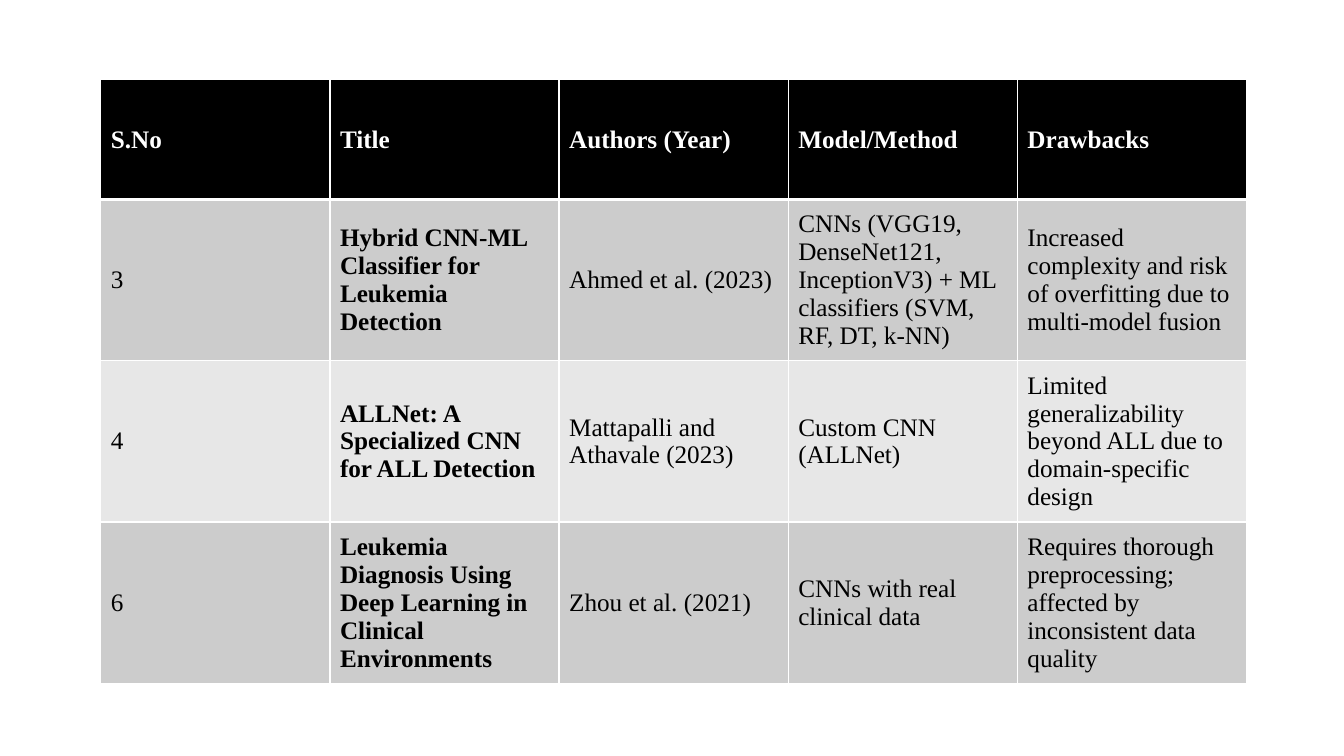
import pptx
import pptx.util
import pptx.dml.color
import pptx.enum.text
import pptx.oxml
import pptx.oxml.ns
from dataclasses import dataclass

Pt = pptx.util.Pt
RGB = pptx.dml.color.RGBColor.from_string


@dataclass(frozen=True)
class Theme:
    font: str = "Times New Roman"
    size: int = 18
    header_fill: str = "000000"
    header_text: str = "FFFFFF"
    body_text: str = "000000"
    bands: tuple = ("CCCCCC", "E7E7E7")
    rule: str = "FFFFFF"
    thin: int = 1
    thick: int = 3


THEME = Theme()
HEADER_HEIGHT = 85.5
TITLE_COLUMN = 1

PAPERS = [
    ("S.No", "Title", "Authors (Year)", "Model/Method", "Drawbacks"),
    ("3", "Hybrid CNN-ML Classifier for Leukemia Detection", "Ahmed et al. (2023)",
     "CNNs (VGG19, DenseNet121, InceptionV3) + ML classifiers (SVM, RF, DT, k-NN)",
     "Increased complexity and risk of overfitting due to multi-model fusion"),
    ("4", "ALLNet: A Specialized CNN for ALL Detection", "Mattapalli and Athavale (2023)",
     "Custom CNN (ALLNet)",
     "Limited generalizability beyond ALL due to domain-specific design"),
    ("6", "Leukemia Diagnosis Using Deep Learning in Clinical Environments",
     "Zhou et al. (2021)", "CNNs with real clinical data",
     "Requires thorough preprocessing; affected by inconsistent data quality"),
]


def set_borders(cell, widths):
    tcPr = cell._tc.get_or_add_tcPr()
    for side, width in widths.items():
        tcPr.append(pptx.oxml.parse_xml(
            f'<a:ln{side} {pptx.oxml.ns.nsdecls("a")} w="{Pt(width)}">'
            f'<a:solidFill><a:srgbClr val="{THEME.rule}"/></a:solidFill></a:ln{side}>'))


def fill_cell(cell, text, fill, color, bold):
    cell.fill.solid()
    cell.fill.fore_color.rgb = RGB(fill)
    cell.vertical_anchor = pptx.enum.text.MSO_ANCHOR.MIDDLE
    r = cell.text_frame.paragraphs[0].add_run()
    r.text = text
    r.font.color.rgb = RGB(color)
    for name, value in {"name": THEME.font, "size": Pt(THEME.size), "bold": bold}.items():
        setattr(r.font, name, value)


def add_literature_table(s, left, top, width, height):
    rows, cols = len(PAPERS), len(PAPERS[0])
    table = s.shapes.add_table(rows, cols, Pt(left), Pt(top), Pt(width), Pt(height)).table
    for column in table.columns:
        column.width = Pt(width / cols)
    body_height = (height - HEADER_HEIGHT) / (rows - 1)
    for i, paper in enumerate(PAPERS):
        header = i == 0
        table.rows[i].height = Pt(HEADER_HEIGHT if header else body_height)
        fill = THEME.header_fill if header else THEME.bands[(i - 1) % 2]
        color = THEME.header_text if header else THEME.body_text
        widths = {"L": THEME.thin, "R": THEME.thin,
                  "T": THEME.thick if i == 1 else THEME.thin,
                  "B": THEME.thick if header else THEME.thin}
        for j, text in enumerate(paper):
            cell = table.cell(i, j)
            set_borders(cell, widths)
            fill_cell(cell, text, fill, color, header or j == TITLE_COLUMN)


def main():
    prs = pptx.Presentation()
    prs.slide_width, prs.slide_height = Pt(960), Pt(540)
    s = prs.slides.add_slide(prs.slide_layouts[6])
    add_literature_table(s, 72, 57, 818.5, 431.1)
    prs.save("out.pptx")


if __name__ == "__main__":
    main()
